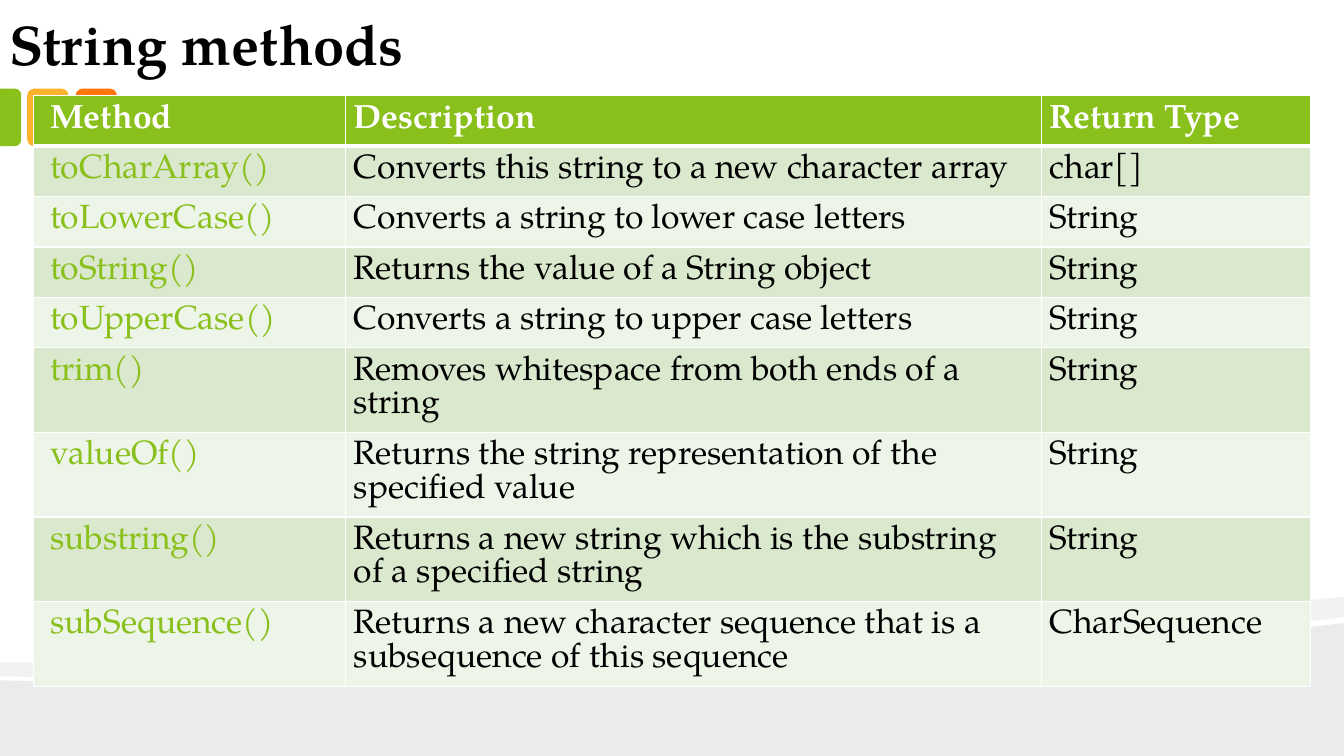
from lxml.etree import SubElement
from pptx import Presentation
from pptx.dml.color import RGBColor
from pptx.enum.shapes import MSO_SHAPE as Shape
from pptx.enum.text import MSO_ANCHOR as Anchor, MSO_AUTO_SIZE as Fit, PP_ALIGN as Align
from pptx.oxml import parse_xml
from pptx.oxml.ns import nsdecls, qn
from pptx.util import Inches, Pt

FONT = "TeX Gyre Pagella"
GREEN, AMBER, ORANGE = "89C01C", "FCB22C", "FE750E"
BLACK, WHITE = "000000", "FFFFFF"
BANDS = ("DAE8CD", "EDF4E8")

HEAD = ("Method", "Description", "Return Type")
ROWS = [
    ("toCharArray()", "Converts this string to a new character array", "char[]"),
    ("toLowerCase()", "Converts a string to lower case letters", "String"),
    ("toString()", "Returns the value of a String object", "String"),
    ("toUpperCase()", "Converts a string to upper case letters", "String"),
    ("trim()", "Removes whitespace from both ends of a string", "String"),
    ("valueOf()", "Returns the string representation of the specified value", "String"),
    ("substring()", "Returns a new string which is the substring of a specified string", "String"),
    ("subSequence()", "Returns a new character sequence that is a subsequence of this sequence",
     "CharSequence"),
]
WIDTHS = (3.1, 6.9, 2.67)
SHORT, TALL = 0.5, 0.84
FIRST_TALL = 5


def paint(fill, color):
    fill.solid()
    fill.fore_color.rgb = RGBColor.from_string(color)


class Deck:
    def __init__(self):
        self.prs = Presentation()
        self.prs.slide_width, self.prs.slide_height = Inches(13.33), Inches(7.5)
        self.slide = self.prs.slides.add_slide(self.prs.slide_layouts[5])
        paint(self.slide.background.fill, WHITE)

    def style(self, par, size, color, bold):
        par.alignment = Align.LEFT
        for run in par.runs:
            font = run.font
            font.name, font.size, font.bold = FONT, Pt(size), bold
            font.color.rgb = RGBColor.from_string(color)

    def plain(self, shape, color):
        shape.shadow.inherit = False
        paint(shape.fill, color)
        shape.line.fill.background()

    def wave(self, start, parts, alpha):
        """A part with one point is a line, one with three is a curve."""
        points = [tuple(map(Inches, point)) for part in parts for point in part]
        pen = self.slide.shapes.build_freeform(*map(Inches, start))
        pen.add_line_segments(points, close=True)
        shape = pen.convert_to_shape()
        self.plain(shape, BLACK)
        tone = shape.fill._xPr.find(qn("a:solidFill"))[0]
        SubElement(tone, qn("a:alpha"), val=str(alpha * 1000))
        # Join each run of three points into one curve
        lines = iter(list(shape._element.iter(qn("a:lnTo"))))
        for part in parts:
            group = [next(lines) for _ in part]
            if len(group) == 3:
                bend = parse_xml(f'<a:cubicBezTo {nsdecls("a")}/>')
                group[0].addprevious(bend)
                for line in group:
                    bend.append(line[0])
                    line.getparent().remove(line)

    def tab(self, kind, box, color, turn=0):
        shape = self.slide.shapes.add_shape(kind, *map(Inches, box))
        self.plain(shape, color)
        shape.rotation = turn
        return shape

    def title(self, text, box):
        shape = self.slide.shapes.title
        shape.left, shape.top, shape.width, shape.height = map(Inches, box)
        frame = shape.text_frame
        frame.text = text
        frame.auto_size, frame.word_wrap = Fit.NONE, True
        frame.vertical_anchor = Anchor.BOTTOM
        frame.margin_left = frame.margin_right = Inches(0.13)
        frame.margin_top = frame.margin_bottom = Inches(0.07)
        self.style(frame.paragraphs[0], 40, BLACK, True)

    def cell(self, cell, text, fill, color, head, first):
        cell.text = text
        cell.margin_left = Inches(0.17 if first else 0.08)
        cell.margin_right = cell.margin_top = cell.margin_bottom = Inches(0.08)
        par = cell.text_frame.paragraphs[0]
        par.line_spacing = Pt(24)
        self.style(par, 24, color, head)
        paint(cell.fill, fill)
        # Borders come before the fill
        props = cell._tc.get_or_add_tcPr()
        for i, side in enumerate("LRTB"):
            width = Pt(3 if head and side == "B" else 1)
            props.insert(i, parse_xml(
                f'<a:ln{side} {nsdecls("a")} w="{width}"><a:solidFill>'
                f'<a:srgbClr val="{WHITE}"/></a:solidFill></a:ln{side}>'))

    def table(self, left, top):
        high = [SHORT] * FIRST_TALL + [TALL] * (len(ROWS) + 1 - FIRST_TALL)
        box = (left, top, sum(WIDTHS), sum(high))
        grid = self.slide.shapes.add_table(len(high), len(WIDTHS), *map(Inches, box)).table
        for col, width in zip(grid.columns, WIDTHS):
            col.width = Inches(width)
        for r, words in enumerate([HEAD] + ROWS):
            grid.rows[r].height = Inches(high[r])
            head = r == 0
            fill = GREEN if head else BANDS[(r - 1) % 2]
            for c, text in enumerate(words):
                color = WHITE if head else GREEN if c == 0 else BLACK
                self.cell(grid.cell(r, c), text, fill, color, head, c == 0)


def main():
    deck = Deck()

    # Waves along the foot
    deck.wave((13.33, 6.18), [
        [(13.33, 7.5)], [(0, 7.5)], [(0, 6.75)],
        [(3.52, 6.83), (10.42, 6.55), (13.33, 6.18)]], 8)
    deck.wave((13.33, 5.92), [
        [(13.33, 6.12)],
        [(12.55, 6.23), (11.49, 6.33), (10.29, 6.41)],
        [(6.98, 6.63), (2.58, 6.77), (0, 6.71)],
        [(0, 6.57)],
        [(6.52, 6.62), (9.71, 6.27), (13.33, 5.92)]], 5)

    # Coloured tabs at the left edge
    for left, color in ((0.75, ORANGE), (0.27, AMBER)):
        deck.tab(Shape.ROUNDED_RECTANGLE, (left, 0.88, 0.41, 0.57), color)
    edge = deck.tab(Shape.ROUND_2_SAME_RECTANGLE, (-0.18, 1.06, 0.57, 0.21), GREEN, 90)
    edge.adjustments[0], edge.adjustments[1] = 0.29, 0

    # Title and table of methods
    deck.title("String methods", (-0.04, 0, 10.37, 0.83))
    deck.table(0.33, 0.95)

    deck.prs.save("out.pptx")


if __name__ == "__main__":
    main()
